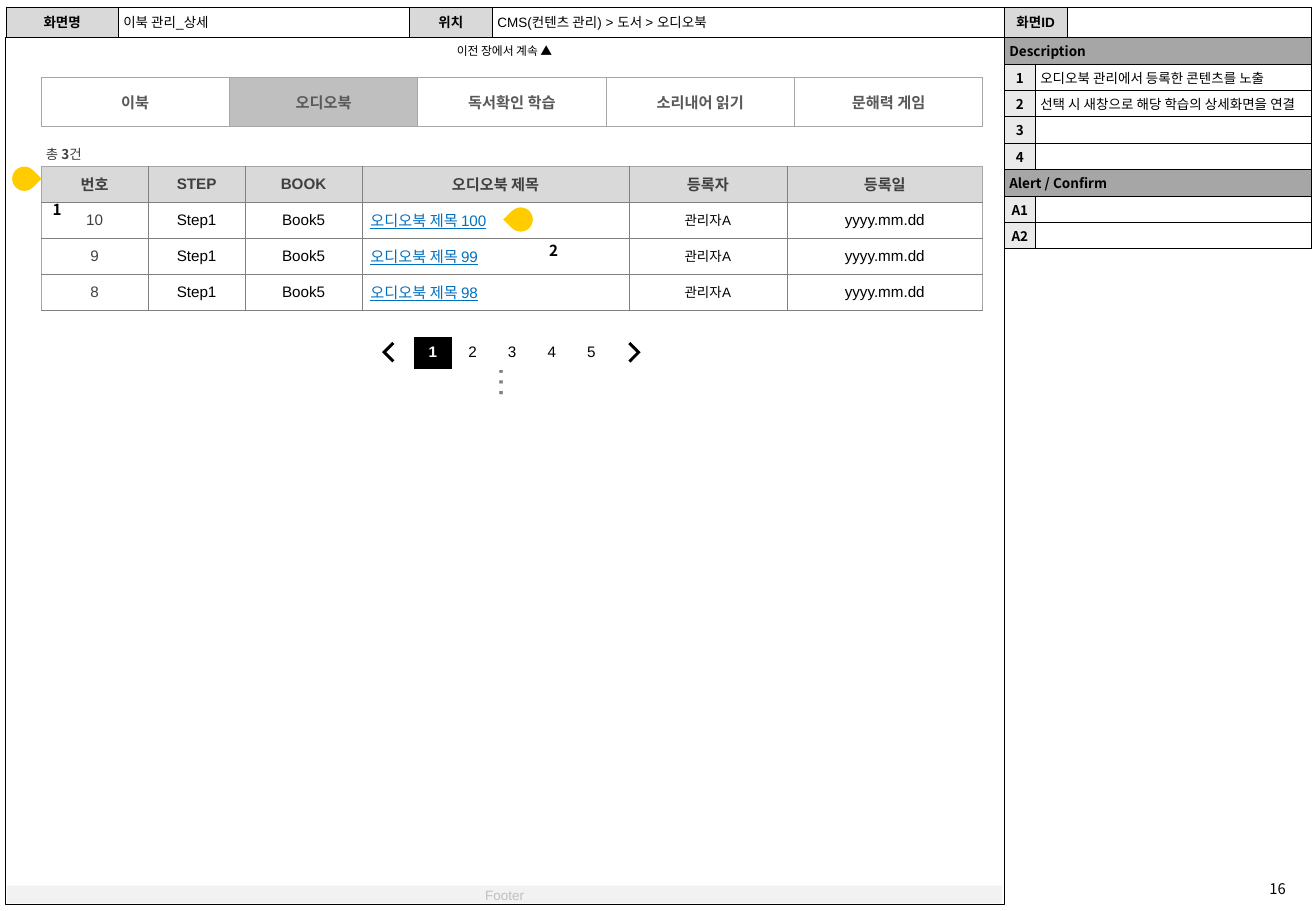
from lxml import etree
from pptx import Presentation
from pptx.dml.color import RGBColor
from pptx.enum.shapes import MSO_SHAPE
from pptx.enum.text import MSO_ANCHOR, PP_ALIGN
from pptx.oxml.ns import qn
from pptx.util import Pt

LEFT, MID = PP_ALIGN.LEFT, PP_ALIGN.CENTER
RECT, DROP = MSO_SHAPE.RECTANGLE, MSO_SHAPE.TEAR
NOTO, ARIAL = "Noto Sans CJK KR", "Arial"
BLACK, WHITE, GREY = "000000", "FFFFFF", "D9D9D9"


def tint(code):
    return RGBColor.from_string(code)


def put(frame, text, size=8, face=NOTO, color=BLACK, bold=False, under=False, align=MID):
    """Append a run to the last paragraph of a text frame."""
    para = frame.paragraphs[-1]
    para.alignment = align
    if not text:
        etree.SubElement(para._p, qn("a:endParaRPr"), sz=str(size * 100))
        return
    run = para.add_run()
    run.text = text
    font = run.font
    font.size, font.name, font.bold, font.underline = Pt(size), face, bold, under
    font.color.rgb = tint(color)
    etree.SubElement(run._r.get_or_add_rPr(), qn("a:ea"), typeface=NOTO)


def pad(item, side, top):
    item.margin_left = item.margin_right = Pt(side)
    item.margin_top = item.margin_bottom = Pt(top)


def label(slide, box, wrap=False, anchor=MSO_ANCHOR.MIDDLE):
    frame = slide.shapes.add_textbox(*map(Pt, box)).text_frame
    frame.word_wrap, frame.vertical_anchor = wrap, anchor
    pad(frame, 0, 0)
    return frame


def paint(item, fill=None, line=None, turn=0):
    item.shadow.inherit = False
    item.rotation = turn
    if fill:
        item.fill.solid()
        item.fill.fore_color.rgb = tint(fill)
    else:
        item.fill.background()
    if line:
        item.line.color.rgb, item.line.width = tint(line), Pt(0.25)
    else:
        item.line.fill.background()


def shape(slide, kind, box, **look):
    item = slide.shapes.add_shape(kind, *map(Pt, box))
    paint(item, **look)
    return item


def hook(slide, x, y, side, thick, turn):
    """Draw an L outline, turned to form a page arrow."""
    inner = side - thick
    spots = [(thick, 0), (thick, inner), (side, inner), (side, side), (0, side)]
    pen = slide.shapes.build_freeform(Pt(x), Pt(y))
    pen.add_line_segments([(Pt(x + dx), Pt(y + dy)) for dx, dy in spots])
    paint(pen.convert_to_shape(), fill=BLACK, turn=turn)


def grid(slide, x, y, cols, high, count):
    """Add a plain table with rows of equal height."""
    box = map(Pt, (x, y, sum(cols), high * count))
    table = slide.shapes.add_table(count, len(cols), *box).table
    table.first_row = table.horz_banding = False
    for col, wide in zip(table.columns, cols):
        col.width = Pt(wide)
    for row in table.rows:
        row.height = Pt(high)
    return table


def cell(item, text, fill=WHITE, lines=None, inset=(2.9, 1.4), **look):
    """Fill a cell; lines holds left, right, top and bottom border colours."""
    item.fill.solid()
    item.fill.fore_color.rgb = tint(fill)
    item.vertical_anchor = MSO_ANCHOR.MIDDLE
    pad(item, *inset)
    put(item.text_frame, text, **look)
    for i, (side, code) in enumerate(zip("LRTB", lines or [])):
        line = etree.Element(qn("a:ln" + side), w=str(Pt(0.25)))
        solid = etree.SubElement(line, qn("a:solidFill"))
        etree.SubElement(solid, qn("a:srgbClr"), val=code)
        item._tc.get_or_add_tcPr().insert(i, line)


def frame_page(slide, x, y, wide, high):
    shape(slide, RECT, (x, y, wide, high), line=BLACK)
    put(label(slide, (x + wide / 2 - 39.2, y, 78.4, 16)), "이전 장에서 계속 ▲", size=7)
    put(label(slide, (x + 733.6, y + 496, 41, 18)), "16", size=8.7)
    foot = shape(slide, RECT, (x + 1, y + high - 11, wide - 2, 10.6), fill="F2F2F2")
    pad(foot.text_frame, 0, 0)
    foot.text_frame.vertical_anchor = MSO_ANCHOR.MIDDLE
    put(foot.text_frame, "Footer", face=ARIAL, color="BFBFBF")


def header(slide, x, y):
    texts = ["화면명", "이북 관리_상세", "위치", "CMS(컨텐츠 관리) > 도서 > 오디오북", "화면ID", ""]
    table = grid(slide, x, y, [66.6, 172.5, 49.2, 303.4, 37.3, 144.6], 18, 1)
    for i, text in enumerate(texts):
        head = i % 2 == 0
        cell(table.cell(0, i), text, GREY if head else WHITE, [BLACK] * 4,
             face=ARIAL, bold=head, align=MID if head else LEFT)


def notes(slide, x, y):
    rows = [("Description", None),
            ("1", "오디오북 관리에서 등록한 콘텐츠를 노출"),
            ("2", "선택 시 새창으로 해당 학습의 상세화면을 연결"),
            ("3", ""), ("4", ""),
            ("Alert / Confirm", None),
            ("A1", ""), ("A2", "")]
    table = grid(slide, x, y, [18.4, 163.5], 15.65, len(rows))
    for i, (key, text) in enumerate(rows):
        band = text is None
        first, second = table.cell(i, 0), table.cell(i, 1)
        cell(first, key, "A6A6A6" if band else "EAEAEA", [BLACK] * 4,
             bold=True, align=LEFT if band else MID)
        cell(second, text, "A6A6A6" if band else WHITE, [BLACK] * 4, align=LEFT)
        if band:
            first.merge(second)


def tabs(slide, x, y):
    names = ["이북", "오디오북", "독서확인 학습", "소리내어 읽기", "문해력 게임"]
    table = grid(slide, x, y, [111.64] * len(names), 29, 1)
    for i, name in enumerate(names):
        cell(table.cell(0, i), name, "BFBFBF" if i == 1 else WHITE, ["A6A6A6"] * 4,
             size=9, color="595959", bold=True)


def books(slide, x, y):
    total = label(slide, (x + 2.9, y - 14.4, 160, 15), wrap=True)
    for text, bold in [("총 ", False), ("3", True), ("건", False)]:
        put(total, text, color="404040", bold=bold, align=LEFT)
    rows = [["번호", "STEP", "BOOK", "오디오북 제목", "등록자", "등록일"]]
    for number, title in [(10, 100), (9, 99), (8, 98)]:
        rows.append([str(number), "Step1", "Book5", f"오디오북 제목 {title}", "관리자A", "yyyy.mm.dd"])
    looks = [dict(color="404040"), {}, {}, dict(color="0070C0", under=True, align=LEFT),
             dict(size=8), {}]
    table = grid(slide, x, y, [63.5, 57.5, 69.3, 158.2, 93.6, 116.1], 21.33, len(rows))
    for r, row in enumerate(rows):
        for c, text in enumerate(row):
            edges = [c == 0, c == len(row) - 1, r == 0, False]
            lines = ["A6A6A6" if edge else "808080" for edge in edges]
            look = looks[c] if r else dict(color="404040", bold=True)
            cell(table.cell(r, c), text, WHITE if r else GREY, lines, (5, 2),
                 **{"size": 9, "face": ARIAL, **look})


def pager(slide, x, y):
    more = label(slide, (x + 43.9, y + 14.6, 30.2, 20.9), anchor=MSO_ANCHOR.TOP)
    pad(more, 2.9, 2.9)
    more._txBody.bodyPr.set("vert", "eaVert")
    put(more, "…", size=20, face=ARIAL, color="808080")
    for shift, turn in [(-16.6, 45), (124.6, 225)]:
        hook(slide, x + shift, y + 5.3, 8.6, 1.75, turn)
    table = grid(slide, x, y, [23.5] * 5, 19.7, 1)
    for i in range(5):
        now = i == 0
        cell(table.cell(0, i), str(i + 1), BLACK if now else WHITE, inset=(0, 0),
             size=9, face=ARIAL, bold=now, color=WHITE if now else BLACK)


def marker(slide, x, y, text, turn):
    drop = shape(slide, DROP, (x, y, 14.4, 14.4), fill="FFCC00", turn=turn)
    drop.adjustments[0] = 1.02
    put(label(slide, (x + 16.7, y + 16.4, 20, 18)), text, size=9, bold=True)


def main():
    deck = Presentation()
    deck.slide_width, deck.slide_height = Pt(780), Pt(540)
    slide = deck.slides.add_slide(deck.slide_layouts[6])
    frame_page(slide, 3.2, 22, 591.8, 514)
    header(slide, 3.6, 4)
    notes(slide, 595.3, 22.2)
    tabs(slide, 24.3, 46)
    books(slide, 24.3, 98.4)
    pager(slide, 244.8, 199.2)
    marker(slide, 7.2, 98.8, "1", 45)
    marker(slide, 301.4, 122.9, "2", 225)
    deck.save("out.pptx")


if __name__ == "__main__":
    main()
